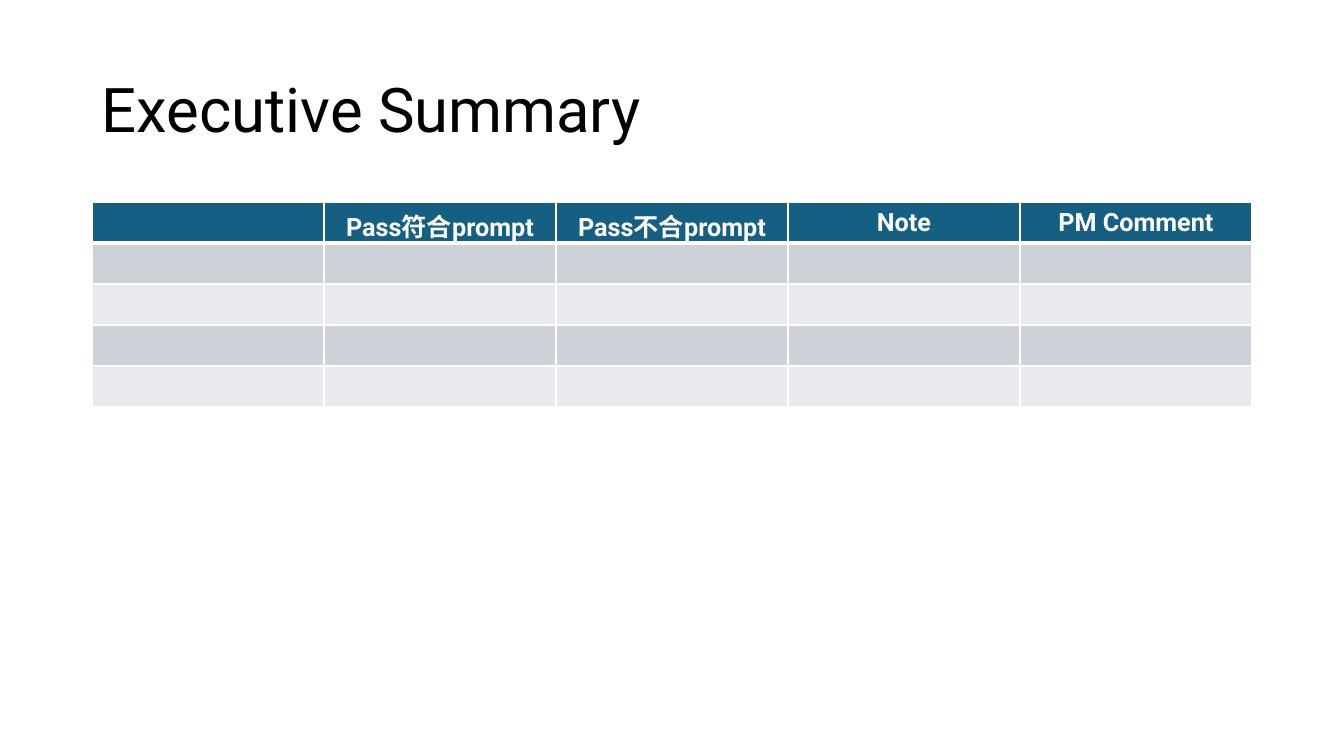
"""Build the Executive Summary slide: a title above a five-column review table."""
from lxml.etree import SubElement
from pptx import Presentation
from pptx.dml.color import RGBColor
from pptx.enum.text import MSO_ANCHOR, PP_ALIGN
from pptx.oxml.ns import qn
from pptx.util import Pt

PX = 12700 * 72 / 100.8
FONT = "Roboto"
COLORS = {
    "title": "000000",
    "header": "156082",
    "odd row": "CCD2D8",
    "even row": "E8EAED",
    "white": "FFFFFF",
}
HEADERS = ["", "Pass符合prompt", "Pass不合prompt", "Note", "PM Comment"]
BODY_ROWS = 4
LEFT, COLUMN_WIDTH, ROW_HEIGHT = 92, 232, 41
WIDTH = COLUMN_WIDTH * len(HEADERS)


def px(length):
    return round(length * PX)


def style_cell(cell, color, top, bottom):
    properties = cell._tc.get_or_add_tcPr()
    for side, points in (("L", 1), ("R", 1), ("T", top), ("B", bottom)):
        line = SubElement(properties, qn(f"a:ln{side}"), w=str(Pt(points)))
        fill = SubElement(line, qn("a:solidFill"))
        SubElement(fill, qn("a:srgbClr"), val=COLORS["white"])
    cell.fill.solid()
    cell.fill.fore_color.rgb = RGBColor.from_string(COLORS[color])


presentation = Presentation()
presentation.slide_width = px(1344)
presentation.slide_height = px(756)
slide = presentation.slides.add_slide(presentation.slide_layouts[6])

title = slide.shapes.add_textbox(px(LEFT), px(40), px(WIDTH), px(146))
title.text_frame.word_wrap = True
title.text_frame.vertical_anchor = MSO_ANCHOR.MIDDLE
title.text_frame.text = "Executive Summary"
paragraph = title.text_frame.paragraphs[0]
paragraph.line_spacing = 0.9
font = paragraph.runs[0].font
font.name = FONT
font.size = Pt(44)
font.color.rgb = RGBColor.from_string(COLORS["title"])

table = slide.shapes.add_table(
    BODY_ROWS + 1, len(HEADERS),
    px(LEFT), px(202), px(WIDTH), px(ROW_HEIGHT * (BODY_ROWS + 1)),
).table
for column in table.columns:
    column.width = px(COLUMN_WIDTH)

for index, row in enumerate(table.rows):
    row.height = px(ROW_HEIGHT)
    color = "header" if index == 0 else "odd row" if index % 2 else "even row"
    for cell in row.cells:
        style_cell(cell, color, 3 if index == 1 else 1, 3 if index == 0 else 1)

for cell, header in zip(table.rows[0].cells, HEADERS):
    cell.vertical_anchor = MSO_ANCHOR.MIDDLE
    cell.text_frame.text = header
    paragraph = cell.text_frame.paragraphs[0]
    paragraph.alignment = PP_ALIGN.CENTER
    for run in paragraph.runs:
        run.font.name = FONT
        run.font.size = Pt(18)
        run.font.bold = True
        run.font.color.rgb = RGBColor.from_string(COLORS["white"])

presentation.save("out.pptx")
